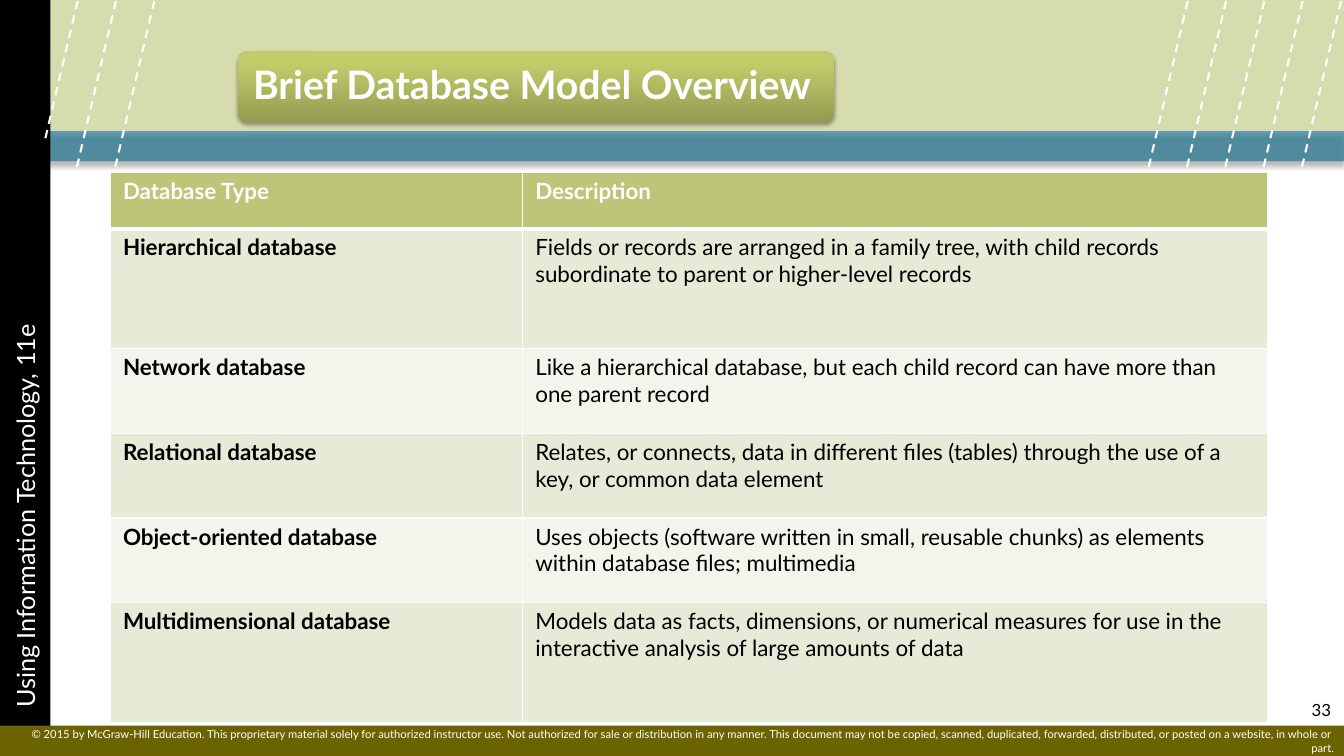
from lxml import etree
from pptx import Presentation
from pptx.dml.color import RGBColor
from pptx.enum.dml import MSO_LINE
from pptx.enum.shapes import MSO_CONNECTOR, MSO_SHAPE
from pptx.enum.text import MSO_ANCHOR, PP_ALIGN
from pptx.oxml.ns import qn
from pptx.util import Inches, Pt

RECTANGLE = MSO_SHAPE.RECTANGLE
ROUNDED = MSO_SHAPE.ROUNDED_RECTANGLE
STRAIGHT = MSO_CONNECTOR.STRAIGHT
DASH = MSO_LINE.DASH
MIDDLE = MSO_ANCHOR.MIDDLE
LEFT, RIGHT = PP_ALIGN.LEFT, PP_ALIGN.RIGHT

FONT = "Lato"
COLORS = {
    "white": "FFFFFF", "black": "000000", "teal": "247793",
    "pale_green": "D7DCAE", "olive": "6B6300", "header": "BCC578",
    "odd_row": "E7EAD6", "even_row": "F3F5EC",
}
TITLE_GRADIENT = [(0, "939C51"), (80, "BFCA69"), (100, "C1CD68")]
COLUMN_WIDTHS = [4.09, 7.39]
ROW_HEIGHTS = [0.56, 1.19, 0.84, 0.84, 0.84, 1.19]
ROWS = [
    ("Database Type", "Description"),
    ("Hierarchical database",
     "Fields or records are arranged in a family tree, with child records "
     "subordinate to parent or higher-level records"),
    ("Network database",
     "Like a hierarchical database, but each child record can have more than "
     "one parent record"),
    ("Relational database",
     "Relates, or connects, data in different files (tables) through the use "
     "of a key, or common data element"),
    ("Object-oriented database",
     "Uses objects (software written in small, reusable chunks) as elements "
     "within database files; multimedia"),
    ("Multidimensional database",
     "Models data as facts, dimensions, or numerical measures for use in the "
     "interactive analysis of large amounts of data"),
]
COPYRIGHT = (
    "© 2015 by McGraw-Hill Education. This proprietary material solely for "
    "authorized instructor use. Not authorized for sale or distribution in any "
    "manner. This document may not be copied, scanned, duplicated, forwarded, "
    "distributed, or posted on a website, in whole or part."
)


def color(name):
    return RGBColor.from_string(COLORS[name])


def add_xml(parent, tag, **attributes):
    values = {key: str(value) for key, value in attributes.items()}
    return etree.SubElement(parent, qn(tag), values)


def write(frame, text, size, tint="white", bold=False, align=LEFT, spacing=None):
    para = frame.paragraphs[0]
    para.alignment = align
    para.line_spacing = spacing
    span = para.add_run()
    span.text = text
    span.font.name = FONT
    span.font.size = Pt(size)
    span.font.bold = bold
    span.font.color.rgb = color(tint)


def set_insets(target, horizontal, vertical):
    target.margin_left = target.margin_right = Inches(horizontal)
    target.margin_top = target.margin_bottom = Inches(vertical)


def add_block(page, left, top, width, height, fill=None, kind=RECTANGLE):
    box = page.shapes.add_shape(
        kind, Inches(left), Inches(top), Inches(width), Inches(height))
    box.shadow.inherit = False
    box.line.fill.background()
    if fill:
        box.fill.solid()
        box.fill.fore_color.rgb = color(fill)
    box.text_frame.word_wrap = True
    box.text_frame.vertical_anchor = MIDDLE
    return box


def add_label(page, left, top, width, height, text, inset=(0.1, 0.05), **style):
    box = page.shapes.add_textbox(
        Inches(left), Inches(top), Inches(width), Inches(height))
    frame = box.text_frame
    frame.word_wrap = True
    frame.vertical_anchor = MIDDLE
    set_insets(frame, *inset)
    write(frame, text, **style)


def cast_shadow(box, alpha, blur, distance):
    effects = box._element.spPr.find(qn("a:effectLst"))
    shadow = add_xml(effects, "a:outerShdw", blurRad=Pt(blur), dist=Pt(distance),
                     dir=90 * 60000, rotWithShape=0)
    tint = add_xml(shadow, "a:srgbClr", val=COLORS["black"])
    add_xml(tint, "a:alpha", val=alpha * 1000)


def fill_gradient(box, stops):
    box.fill.gradient()
    box.fill.gradient_angle = 90
    stop_list = next(box._element.spPr.iter(qn("a:gsLst")))
    for stop in list(stop_list):
        stop_list.remove(stop)
    for position, value in stops:
        stop = add_xml(stop_list, "a:gs", pos=position * 1000)
        add_xml(stop, "a:srgbClr", val=value)


def add_slanted_line(page, left, height):
    top, slope = 0.01, 0.43 / 1.83
    line = page.shapes.add_connector(
        STRAIGHT, Inches(left), Inches(top),
        Inches(left - slope * height), Inches(top + height))
    line.line.color.rgb = color("white")
    line.line.width = Pt(1.5)
    line.line.dash_style = DASH
    add_xml(line._element.spPr, "a:effectLst")


def set_borders(cell, **widths):
    properties = cell._tc.get_or_add_tcPr()
    for side in "LRTB":
        border = add_xml(properties, f"a:ln{side}", w=Pt(widths.get(side, 1)))
        add_xml(add_xml(border, "a:solidFill"), "a:srgbClr", val=COLORS["white"])


def add_database_table(page):
    table = page.shapes.add_table(
        len(ROWS), len(COLUMN_WIDTHS), Inches(1.09), Inches(1.71),
        Inches(sum(COLUMN_WIDTHS)), Inches(sum(ROW_HEIGHTS))).table
    for column, width in zip(table.columns, COLUMN_WIDTHS):
        column.width = Inches(width)
    for index, (texts, height) in enumerate(zip(ROWS, ROW_HEIGHTS)):
        table.rows[index].height = Inches(height)
        header = index == 0
        fill = "header" if header else "odd_row" if index % 2 else "even_row"
        for column, text in enumerate(texts):
            cell = table.cell(index, column)
            set_borders(cell, B=3 if header else 1, T=3 if index == 1 else 1)
            cell.fill.solid()
            cell.fill.fore_color.rgb = color(fill)
            set_insets(cell, 0.13, 0.05)
            write(cell.text_frame, text, 16, tint="white" if header else "black",
                  bold=header or column == 0)


def add_background(page):
    band = add_block(page, 0.33, 1.3, 13, 0.3, "teal")
    tint = next(band._element.spPr.iter(qn("a:srgbClr")))
    add_xml(tint, "a:alpha", val=70000)
    cast_shadow(band, alpha=40, blur=4, distance=3)
    add_block(page, 0, 0, 13.33, 1.3, "pale_green")

    sidebar = add_block(page, -3.5, 3.5, 7.5, 0.5, "black")
    sidebar.rotation = 270
    sidebar.text_frame.margin_left = Inches(0.48)
    write(sidebar.text_frame, "Using Information Technology, 11e", 18)

    footer = add_block(page, 0, 7.2, 13.33, 0.3, "olive")
    write(footer.text_frame, COPYRIGHT, 8, align=RIGHT)

    for step in range(5):
        add_slanted_line(page, 13.3 - step * 0.38, 1.83)
    for step, height in enumerate([1.83, 1.83, 1.39]):
        add_slanted_line(page, 1.53 - step * 0.38, height)


def add_title(page):
    plate = add_block(page, 2.36, 0.51, 5.91, 0.7, kind=ROUNDED)
    plate.adjustments[0] = 0.14
    fill_gradient(plate, TITLE_GRADIENT)
    cast_shadow(plate, alpha=35, blur=3.1, distance=1.8)
    add_label(page, 2.39, 0.55, 5.84, 0.63, "Brief Database Model Overview",
              inset=(0.12, 0.12), size=28, bold=True, spacing=0.9)


def main():
    deck = Presentation()
    deck.slide_width, deck.slide_height = Inches(13.33), Inches(7.5)
    page = deck.slides.add_slide(deck.slide_layouts[6])
    add_background(page)
    add_label(page, 11.97, 6.89, 1.33, 0.3, "33", size=12, tint="black", align=RIGHT)
    add_database_table(page)
    add_title(page)
    deck.save("out.pptx")


if __name__ == "__main__":
    main()
